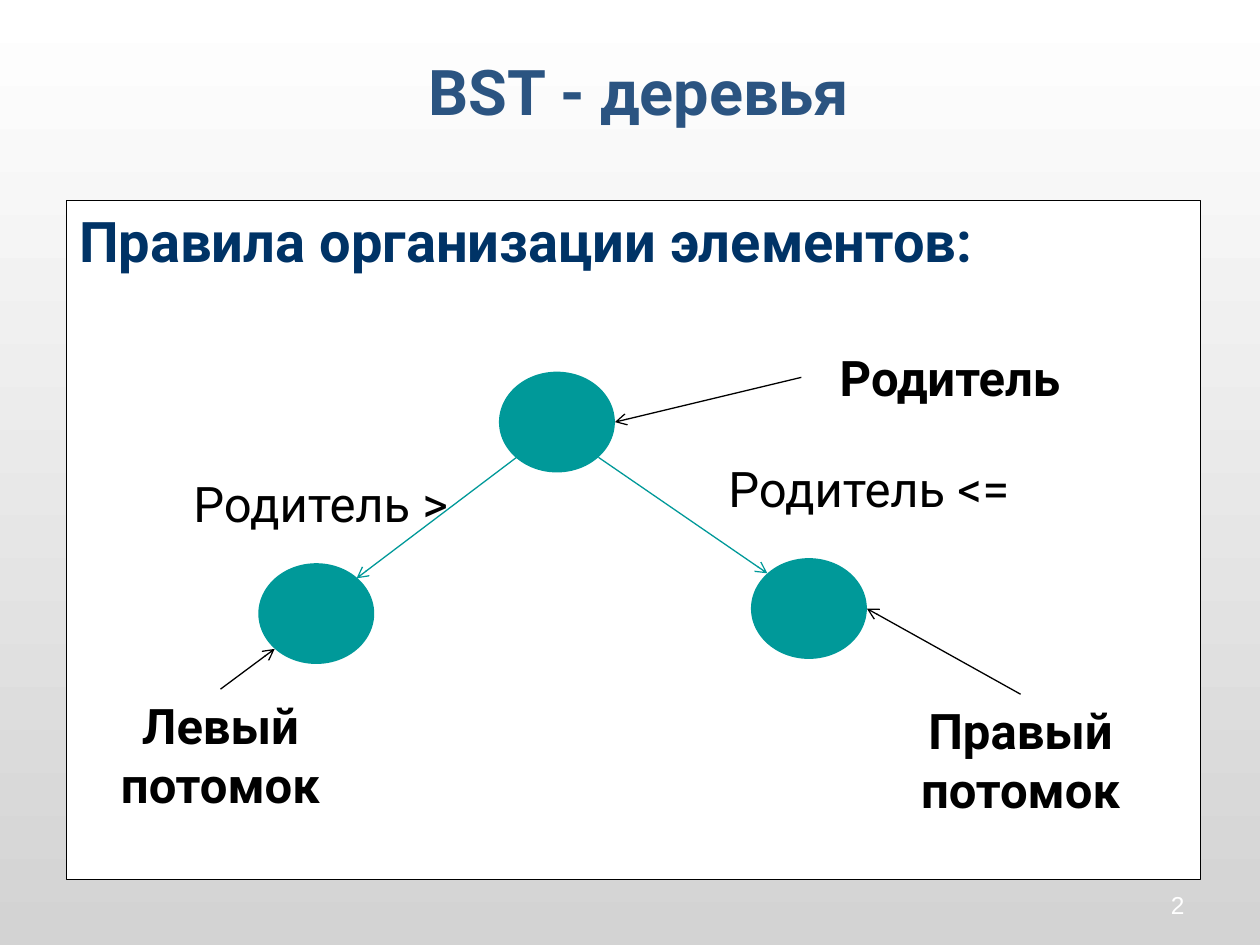
from pptx import Presentation
from pptx.dml.color import RGBColor
from pptx.enum.shapes import MSO_CONNECTOR as Connector, MSO_SHAPE as Shape
from pptx.enum.text import MSO_ANCHOR as Anchor, MSO_AUTO_SIZE as AutoSize, PP_ALIGN as Align
from pptx.oxml.ns import qn
from pptx.util import Inches, Pt
from lxml.etree import SubElement

THEME = {
    "font": "Roboto", "number_font": "Arial",
    "title": "2B5481", "heading": "003366", "node": "009999",
    "ink": "000000", "paper": "FFFFFF", "shade": "D3D3D3",
    "title_size": 36, "heading_size": 32, "label_size": 28, "number_size": 14,
    "line": 0.75,
}

TITLE = ("BST - деревья", (0.57, 0.2, 9, 1.04))
HEADING = ("Правила организации элементов:", (0.53, 1.59, 9, 5.39))
NUMBER = ("2", (7.17, 6.83, 2.33, 0.52))
NODE_SIZE = (0.92, 0.8)
NODES = [(3.96, 2.95), (2.05, 4.47), (5.96, 4.43)]
BRANCHES = [((4.1, 3.63), (2.83, 4.59)), ((4.75, 3.63), (6.09, 4.55))]
TOP, LEFT = 0, 1
CALLOUTS = [
    ("Родитель", (6.36, 2.71, 2.36, 0.57), LEFT, (4.88, 3.35)),
    ("Правый потомок", (6.92, 5.51, 2.36, 1.04), TOP, (6.88, 4.83)),
    ("Левый потомок", (0.57, 5.47, 2.36, 1.04), TOP, (2.18, 5.15)),
]
CONDITIONS = [
    ("Родитель <=", (5.4, 3.59, 2.99, 0.57)),
    ("Родитель >", (1.05, 3.71, 2.99, 0.57)),
]


def color(name):
    return RGBColor.from_string(THEME[name])


def inches(values):
    return [Inches(value) for value in values]


def write(shape, text, size, ink, bold=False, align=Align.CENTER, anchor=Anchor.TOP, font="font"):
    frame = shape.text_frame
    frame.text = text
    frame.word_wrap = True
    frame.auto_size = AutoSize.NONE
    frame.vertical_anchor = anchor
    para = frame.paragraphs[0]
    para.alignment = align
    span = para.runs[0].font
    span.name, span.size, span.bold = THEME[font], Pt(THEME[size]), bold
    span.color.rgb = color(ink)


def add_text(page, text, place, size, ink, **style):
    box = page.shapes.add_textbox(*inches(place))
    write(box, text, size, ink, **style)
    return box


def add_shape(page, kind, place, fill, outline=None):
    shape = page.shapes.add_shape(kind, *inches(place))
    shape.shadow.inherit = False
    shape.fill.solid()
    shape.fill.fore_color.rgb = color(fill)
    if outline:
        shape.line.color.rgb = color(outline)
        shape.line.width = Pt(THEME["line"])
    else:
        shape.line.fill.background()
    return shape


def add_arrow(page, start, end, ink):
    arrow = page.shapes.add_connector(Connector.STRAIGHT, *inches((*start, *end)))
    arrow.line.color.rgb = color(ink)
    arrow.line.width = Pt(THEME["line"])
    SubElement(arrow.line._get_or_add_ln(), qn("a:tailEnd"), type="arrow")
    SubElement(arrow._element.spPr, qn("a:effectLst"))
    return arrow


def main():
    deck = Presentation()
    deck.slide_width, deck.slide_height = Inches(10), Inches(7.5)
    page = deck.slides.add_slide(deck.slide_layouts[5])

    backdrop = page.background.fill
    backdrop.gradient()
    backdrop.gradient_angle = 270
    for stop, name in zip(backdrop.gradient_stops, ("paper", "shade")):
        stop.color.rgb = color(name)

    text, place = TITLE
    title = page.shapes.title
    title.left, title.top, title.width, title.height = inches(place)
    write(title, text, "title_size", "title", bold=True, anchor=Anchor.MIDDLE)

    text, place = HEADING
    panel = add_shape(page, Shape.RECTANGLE, place, "paper", "ink")
    write(panel, text, "heading_size", "heading", bold=True, align=Align.LEFT)

    for corner in NODES:
        add_shape(page, Shape.OVAL, corner + NODE_SIZE, "node")
    for start, end in BRANCHES:
        add_arrow(page, start, end, "node")

    for text, place, side, target in CALLOUTS:
        label = add_text(page, text, place, "label_size", "ink", bold=True)
        arrow = add_arrow(page, place[:2], target, "ink")
        arrow.begin_connect(label, side)
    for text, place in CONDITIONS:
        add_text(page, text, place, "label_size", "ink")

    text, place = NUMBER
    add_text(page, text, place, "number_size", "paper",
             align=Align.RIGHT, anchor=Anchor.BOTTOM, font="number_font")

    deck.save("out.pptx")


if __name__ == "__main__":
    main()
